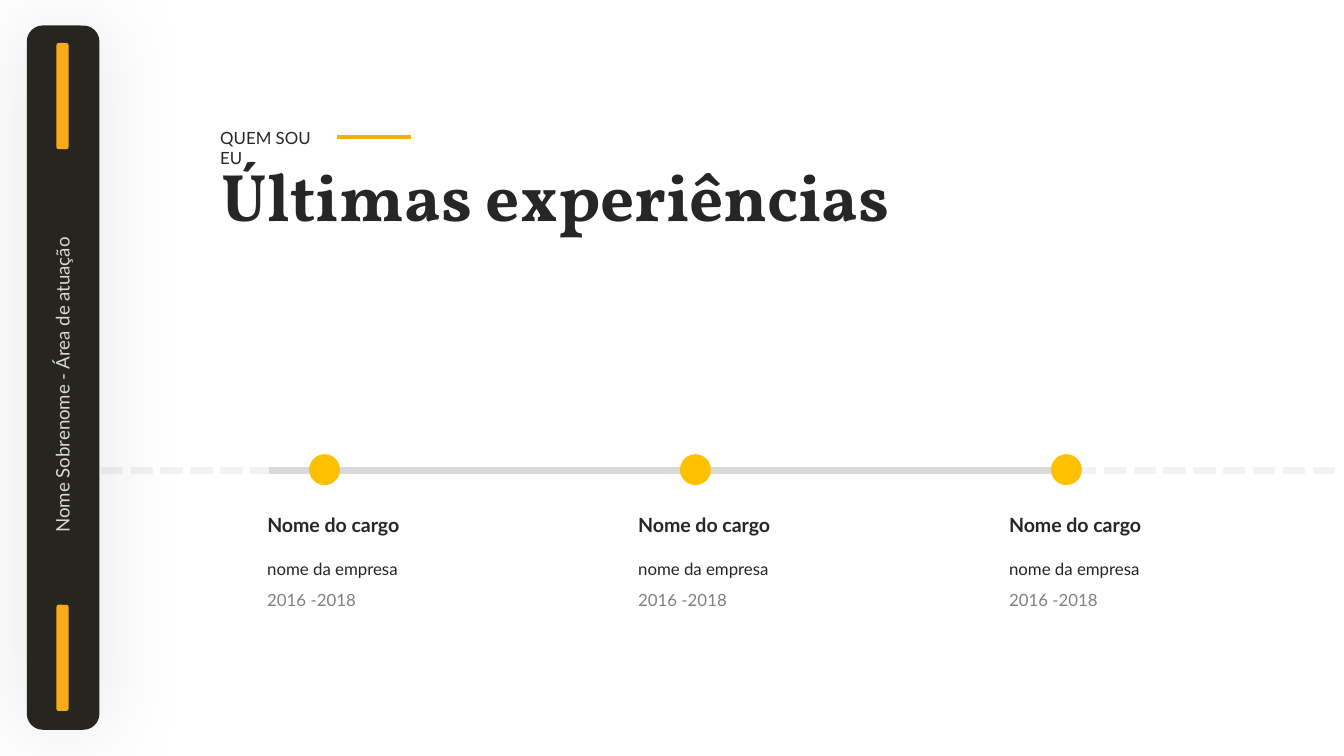
from lxml import etree
from pptx import Presentation
from pptx.dml.color import RGBColor
from pptx.enum.dml import MSO_LINE
from pptx.enum.shapes import MSO_CONNECTOR, MSO_SHAPE
from pptx.enum.text import MSO_ANCHOR, MSO_AUTO_SIZE, PP_ALIGN
from pptx.oxml import parse_xml
from pptx.oxml.ns import nsdecls, qn
from pptx.util import Inches, Pt

DARK, AMBER, PALE = "262626", "F9AB17", "D9D9D9"


def color(hex_code):
    """Turn a hex string into a colour."""
    return RGBColor.from_string(hex_code)


def write(holder, text, size, ink, font="Lato", bold=False, spacing=1.0):
    """Fill a text holder with one left-aligned paragraph."""
    frame = holder.text_frame
    frame.text = text
    frame.word_wrap = True
    frame.auto_size = MSO_AUTO_SIZE.SHAPE_TO_FIT_TEXT
    frame.vertical_anchor = MSO_ANCHOR.TOP
    paragraph = frame.paragraphs[0]
    paragraph.alignment = PP_ALIGN.LEFT
    paragraph.line_spacing = spacing
    paragraph.font.name = font
    paragraph.font.size = Pt(size)
    paragraph.font.bold = bold
    paragraph.font.color.rgb = color(ink)


def add_text(slide, left, top, width, height, text, size, ink, **style):
    """Add a text box with one paragraph."""
    box = slide.shapes.add_textbox(Inches(left), Inches(top), Inches(width), Inches(height))
    write(box, text, size, ink, **style)
    return box


def add_solid(slide, kind, left, top, width, height, fill, corner=None):
    """Add a filled shape without outline or shadow."""
    solid = slide.shapes.add_shape(kind, Inches(left), Inches(top), Inches(width), Inches(height))
    solid.shadow.inherit = False
    solid.fill.solid()
    solid.fill.fore_color.rgb = color(fill)
    solid.line.fill.background()
    if corner is not None:
        solid.adjustments[0] = corner
    return solid


def add_rule(slide, start, end, y, stroke, weight, dashed=False):
    """Add a horizontal line, solid or dashed."""
    rule = slide.shapes.add_connector(
        MSO_CONNECTOR.STRAIGHT, Inches(start), Inches(y), Inches(end), Inches(y))
    rule.line.color.rgb = color(stroke)
    rule.line.width = Pt(weight)
    if dashed:
        rule.line.dash_style = MSO_LINE.SQUARE_DOT
    etree.SubElement(rule._element.spPr, qn("a:effectLst"))


def add_glow(shape, blur, opacity):
    """Give a shape a soft black shadow all around."""
    effects = shape._element.spPr.find(qn("a:effectLst"))
    effects.append(parse_xml(
        f'<a:outerShdw {nsdecls("a")} blurRad="{Pt(blur)}" dist="0" dir="0" algn="ctr" '
        f'rotWithShape="0"><a:srgbClr val="000000"><a:alpha val="{opacity * 1000}"/>'
        '</a:srgbClr></a:outerShdw>'))


def build_sidebar(slide, left, top, width, height):
    """Draw the dark side panel with its rotated name and two accents."""
    rounded = MSO_SHAPE.ROUNDED_RECTANGLE
    panel = add_solid(slide, rounded, left, top, width, height, "262520", 0.22)
    add_glow(panel, 50, 10)
    for accent_top in (top + 0.13, top + height - 0.93):
        add_solid(slide, rounded, left + 0.22, accent_top, 0.09, 0.79, AMBER, 0.19)
    name = add_text(slide, left - 0.98, top + 2.49, 2.49, 0.27,
                    "Nome Sobrenome - Área de atuação", 10, PALE)
    name.rotation = 270


def build_heading(slide, left, top, width):
    """Place the kicker, its accent line and the slide title."""
    title = slide.shapes.title
    title.left, title.top = Inches(left + 0.01), Inches(top + 0.2)
    title.width, title.height = Inches(width), Inches(0.71)
    write(title, "Últimas experiências", 36, DARK, font="Vollkorn", bold=True)
    add_text(slide, left, top, 1.02, 0.25, "QUEM SOU EU", 9, DARK)
    add_rule(slide, left + 0.97, left + 1.52, top + 0.12, AMBER, 2)


def build_timeline(slide, left, top, pitch, jobs):
    """Draw the timeline with a dot and three text lines per job."""
    axis, dot = top + 0.12, 0.23
    add_rule(slide, left + 6.1, left + 8.09, axis, "F2F2F2", 4, dashed=True)
    add_rule(slide, left - 1.14, left + 0.11, axis, "F2F2F2", 4, dashed=True)
    add_rule(slide, left + 0.11, left + 6.04, axis, PALE, 4)
    for index, (role, company, years) in enumerate(jobs):
        x = left + index * pitch
        add_solid(slide, MSO_SHAPE.OVAL, x + 0.41, top, dot, dot, "FFC000")
        add_text(slide, x, top + 0.3, 1.92, 0.34, role, 10.5, DARK, bold=True, spacing=1.5)
        add_text(slide, x, top + 0.65, 1.74, 0.31, company, 9, DARK, spacing=1.5)
        add_text(slide, x, top + 0.88, 1.74, 0.31, years, 9, "808080", spacing=1.5)


def main():
    """Build and save the slide."""
    deck = Presentation()
    deck.slide_width = Inches(10)
    deck.slide_height = deck.slide_width * 9 // 16
    slide = deck.slides.add_slide(deck.slide_layouts[5])
    jobs = [("Nome do cargo", "nome da empresa", "2016 -2018")] * 3
    build_timeline(slide, 1.89, 3.38, 2.76, jobs)
    build_sidebar(slide, 0.2, 0.19, 0.54, 5.24)
    build_heading(slide, 1.54, 0.9, 5.32)
    deck.save("out.pptx")


if __name__ == "__main__":
    main()
